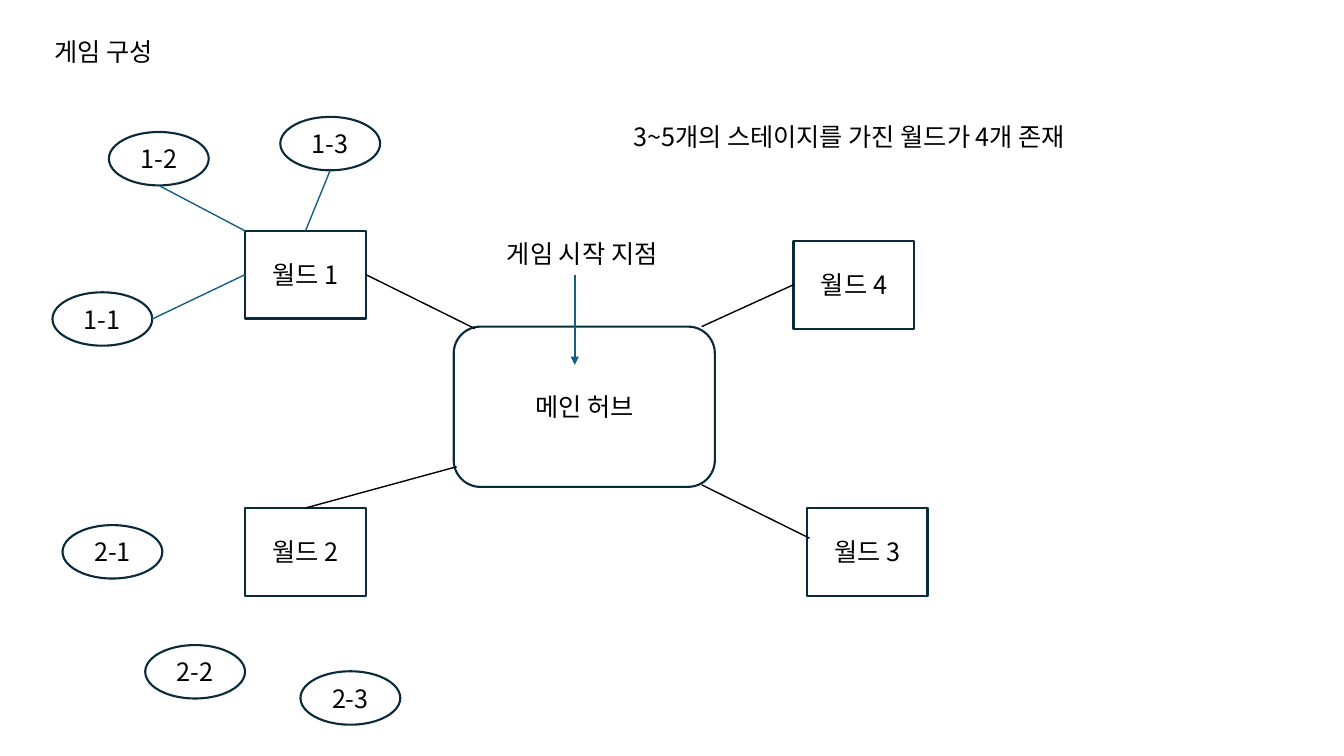
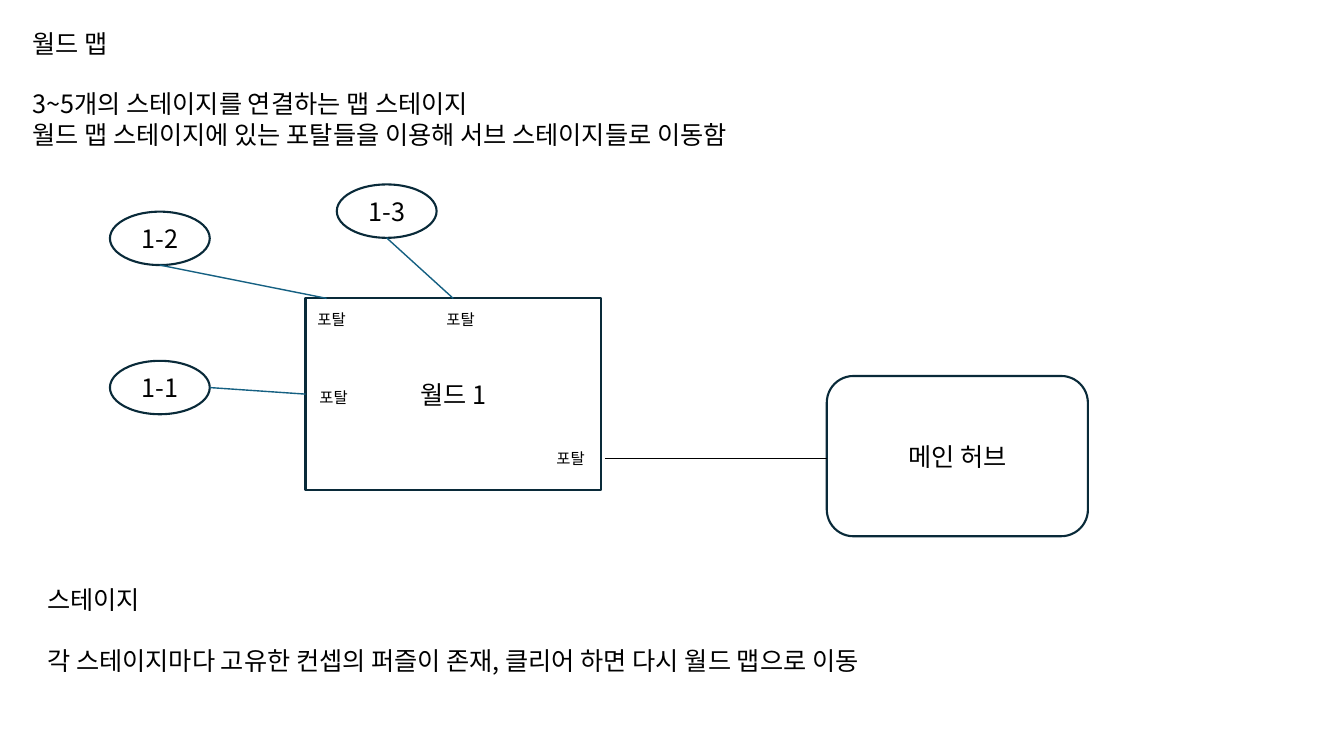
from dataclasses import dataclass

from lxml import etree
from pptx import Presentation
from pptx import util as u
from pptx.dml.color import RGBColor
from pptx.enum import shapes, text
from pptx.oxml.ns import qn


@dataclass(frozen=True)
class Theme:
    font: str = "Noto Sans CJK KR"
    ink: str = "000000"
    paper: str = "FFFFFF"
    outline: str = "092A39"
    accent: str = "156082"
    size: float = 18
    small: float = 11
    leading: float = 1.2
    border: float = 1.5
    thin: float = 1


THEME = Theme()
WIDTH, HEIGHT = 13.33, 7.5
TOP, LEFT, BOTTOM, RIGHT = range(4)
KINDS = {
    "hub": (shapes.MSO_SHAPE.ROUNDED_RECTANGLE, 2.59, 1.59),
    "world": (shapes.MSO_SHAPE.RECTANGLE, 1.2, 0.87),
    "map": (shapes.MSO_SHAPE.RECTANGLE, 2.93, 1.9),
    "stage": (shapes.MSO_SHAPE.OVAL, 0.99, 0.53),
}

SLIDES = [
    {
        "title": ("게임 구성", (0.44, 0.31, 1.45, 0.4)),
        "body": (["3~5개의 스테이지를 가진 월드가 4개 존재"], (6.18, 1.15, 5.08, 0.4)),
        "nodes": [
            ("hub", "메인 허브", 4.5, 3.24),
            ("world", "월드 1", 2.43, 2.29),
            ("world", "월드 2", 2.43, 5.04),
            ("world", "월드 4", 7.87, 2.39),
            ("world", "월드 3", 8, 5.04),
            ("stage", "1-1", 0.52, 2.9),
            ("stage", "1-2", 1.08, 1.31),
            ("stage", "1-3", 2.78, 1.16),
            ("stage", "2-1", 0.62, 5.21),
            ("stage", "2-2", 1.44, 6.4),
            ("stage", "2-3", 2.98, 6.66),
        ],
        "hub_links": [
            (("월드 1", RIGHT), (4.71, 3.26)),
            (("월드 2", TOP), (4.53, 4.63)),
            ((6.96, 4.81), (8.03, 5.34)),
            ((6.96, 3.24), ("월드 4", LEFT)),
        ],
        "stage_links": [
            (("1-1", RIGHT), ("월드 1", LEFT)),
            (("1-2", BOTTOM), (2.43, 2.29)),
            (("1-3", BOTTOM), ("월드 1", TOP)),
        ],
        "arrows": [((5.7, 2.73), (5.7, 3.62))],
        "notes": [(["게임 시작 지점"], (4.93, 2.32, 1.9, 0.4), THEME.size)],
    },
    {
        "title": ("월드 맵", (0.22, 0.23, 12.59, 0.4)),
        "body": (
            ["3~5개의 스테이지를 연결하는 맵 스테이지",
             "월드 맵 스테이지에 있는 포탈들을 이용해 서브 스테이지들로 이동함"],
            (0.22, 0.83, 12.59, 0.71),
        ),
        "nodes": [
            ("map", "월드 1", 3.03, 2.96),
            ("stage", "1-1", 1.09, 3.58),
            ("stage", "1-2", 1.09, 2.1),
            ("stage", "1-3", 3.34, 1.83),
            ("hub", "메인 허브", 8.2, 3.73),
        ],
        "hub_links": [((6, 4.55), (8.2, 4.55))],
        "stage_links": [
            (("1-1", RIGHT), ("월드 1", LEFT)),
            (("1-2", BOTTOM), (3.24, 2.96)),
            (("1-3", BOTTOM), ("월드 1", TOP)),
        ],
        "arrows": [],
        "notes": [
            *[(["포탈"], (x, y, 0.51, 0.29), THEME.small)
              for x, y in [(4.33, 3.03), (3.05, 3.03), (3.07, 3.8), (5.42, 4.41)]],
            (["스테이지",
              "각 스테이지마다 고유한 컨셉의 퍼즐이 존재, 클리어 하면 다시 월드 맵으로 이동"],
             (0.37, 5.75, 12.59, 1.01), THEME.size),
        ],
    },
]


def rgb(value):
    return RGBColor.from_string(value)


def box(bounds):
    return [u.Inches(v) for v in bounds]


def write(frame, lines, size=THEME.size, align=text.PP_ALIGN.LEFT,
          anchor=text.MSO_ANCHOR.TOP, gap=0, wrap=True):
    frame.word_wrap = wrap
    frame.auto_size = text.MSO_AUTO_SIZE.NONE
    frame.vertical_anchor = anchor
    for i, line in enumerate(lines):
        para = frame.paragraphs[0] if i == 0 else frame.add_paragraph()
        para.alignment = align
        para.line_spacing = u.Pt(size * THEME.leading)
        para.space_before = u.Pt(gap if i else 0)
        run = para.add_run()
        run.text = line
        run.font.size = u.Pt(size)
        run.font.name = THEME.font
        run.font.color.rgb = rgb(THEME.ink)
        etree.SubElement(run.font._element, qn("a:ea"), typeface=THEME.font)


def place(holder, bounds):
    holder.left, holder.top, holder.width, holder.height = box(bounds)


def add_headings(slide, content):
    title, bounds = content["title"]
    place(slide.shapes.title, bounds)
    write(slide.shapes.title.text_frame, [title])
    lines, bounds = content["body"]
    body = slide.placeholders[1]
    place(body, bounds)
    write(body.text_frame, lines)
    for para in body.text_frame.paragraphs:
        props = para._p.get_or_add_pPr()
        props.set("marL", "0")
        props.set("indent", "0")
        etree.SubElement(props, qn("a:buNone"))


def add_node(slide, kind, label, x, y):
    preset, width, height = KINDS[kind]
    node = slide.shapes.add_shape(preset, *box((x, y, width, height)))
    node.shadow.inherit = False
    node.fill.solid()
    node.fill.fore_color.rgb = rgb(THEME.paper)
    node.line.color.rgb = rgb(THEME.outline)
    node.line.width = u.Pt(THEME.border)
    write(node.text_frame, [label], align=text.PP_ALIGN.CENTER,
          anchor=text.MSO_ANCHOR.MIDDLE)
    return node


def locate(end, nodes):
    name, side = end
    if name not in nodes:
        return box(end)
    node = nodes[name]
    across, down = {TOP: (1, 0), LEFT: (0, 1), BOTTOM: (1, 2), RIGHT: (2, 1)}[side]
    return node.left + node.width * across // 2, node.top + node.height * down // 2


def add_link(slide, nodes, ends, color, width=THEME.thin, arrow=False):
    start, finish = ends
    link = slide.shapes.add_connector(
        shapes.MSO_CONNECTOR.STRAIGHT, *locate(start, nodes), *locate(finish, nodes))
    for (name, side), join in ((start, link.begin_connect), (finish, link.end_connect)):
        if name in nodes and nodes[name].auto_shape_type != shapes.MSO_SHAPE.OVAL:
            join(nodes[name], side)
    link.line.color.rgb = rgb(color)
    link.line.width = u.Pt(width)
    if arrow:
        etree.SubElement(link.line._get_or_add_ln(), qn("a:tailEnd"), type="triangle")
    etree.SubElement(link._element.spPr, qn("a:effectLst"))


def build(deck, content):
    slide = deck.slides.add_slide(deck.slide_layouts[1])
    add_headings(slide, content)
    nodes = {spec[1]: add_node(slide, *spec) for spec in content["nodes"]}
    for ends in content["hub_links"]:
        add_link(slide, nodes, ends, THEME.ink)
    for ends in content["stage_links"]:
        add_link(slide, nodes, ends, THEME.accent)
    for ends in content["arrows"]:
        add_link(slide, nodes, ends, THEME.accent, THEME.border, arrow=True)
    for lines, bounds, size in content["notes"]:
        note = slide.shapes.add_textbox(*box(bounds))
        write(note.text_frame, lines, size, gap=size * THEME.leading,
              wrap=len(lines) > 1)


def main():
    deck = Presentation()
    deck.slide_width, deck.slide_height = box((WIDTH, HEIGHT))
    for content in SLIDES:
        build(deck, content)
    deck.save("out.pptx")


if __name__ == "__main__":
    main()
